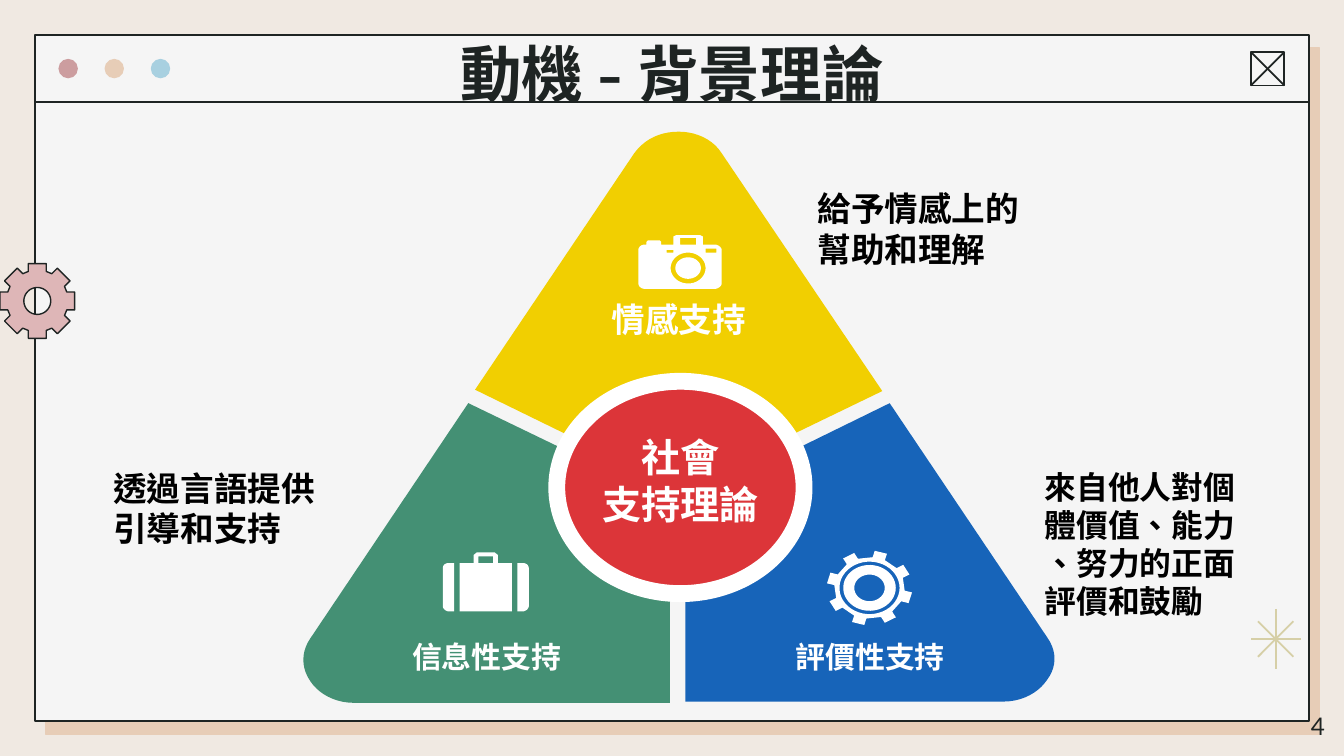
import math

from lxml import etree
from pptx import Presentation
from pptx import util as u
from pptx.dml.color import RGBColor
from pptx.enum import lang, shapes, text
from pptx.oxml.ns import qn

INK = RGBColor(0x1E, 0x24, 0x23)
BLACK = RGBColor(0x00, 0x00, 0x00)
WHITE = RGBColor(0xFF, 0xFF, 0xFF)
CREAM = RGBColor(0xF0, 0xE9, 0xE2)
PANEL = RGBColor(0xF5, 0xF5, 0xF5)
ROSE = RGBColor(0xCC, 0x9D, 0x9F)
PINK = RGBColor(0xDE, 0xB6, 0xB7)
PEACH = RGBColor(0xE7, 0xCD, 0xB7)
SKY = RGBColor(0xA8, 0xD0, 0xE0)
SAND = RGBColor(0xD6, 0xCF, 0xA7)
YELLOW = RGBColor(0xF1, 0xCF, 0x01)
GREEN = RGBColor(0x44, 0x90, 0x74)
BLUE = RGBColor(0x17, 0x64, 0xB9)
RED = RGBColor(0xDC, 0x35, 0x39)

prs = Presentation()
prs.slide_width = u.Inches(10)
prs.slide_height = prs.slide_width * 9 // 16
CELL = prs.slide_width // 100  # square grid, 100 columns wide; every length is in cells
s = prs.slides.add_slide(prs.slide_layouts[6])
s.background.fill.solid()
s.background.fill.fore_color.rgb = CREAM


def add_text(box, *lines, size=18, font="Arial", color=WHITE, bold=True,
             align=text.PP_ALIGN.CENTER):
    tf = s.shapes.add_textbox(*(round(v * CELL) for v in box)).text_frame
    tf.word_wrap = True
    tf.margin_left = tf.margin_right = tf.margin_top = tf.margin_bottom = CELL
    for i, line in enumerate(lines):
        p = tf.add_paragraph() if i else tf.paragraphs[0]
        p.alignment = align
        r = p.add_run()
        r.text = line
        r.font.size, r.font.name, r.font.bold = u.Pt(size), font, bold
        r.font.color.rgb = color
        r.font.language_id = lang.MSO_LANGUAGE_ID.TRADITIONAL_CHINESE


def add_outline(contours, fill, line=None):
    """Draw closed contours as one shape: pairs are corners, sextets are Bézier
    curves, and a lone (cx, cy, rx, ry) is an ellipse."""
    builder = None
    for contour in contours:
        points = []
        for step in contour:
            if len(step) == 2:
                points.append(step)
            elif len(step) == 4:
                cx, cy, rx, ry = step
                turns = [math.radians(a) for a in range(0, 360, 8)]
                points += [(cx + rx * math.cos(a), cy + ry * math.sin(a)) for a in turns]
            else:
                knots = [points[-1], step[:2], step[2:4], step[4:]]
                for t in (k / 10 for k in range(1, 11)):
                    weights = [math.comb(3, k) * t**k * (1 - t)**(3 - k) for k in range(4)]
                    points.append(tuple(sum(w * kn[axis] for w, kn in zip(weights, knots))
                                        for axis in (0, 1)))
        points = [(round(x * CELL), round(y * CELL)) for x, y in points]
        if builder is None:
            builder = s.shapes.build_freeform(*points[0], scale=1.0)
        else:
            builder.move_to(*points[0])
        builder.add_line_segments(points[1:], close=True)
    sp = builder.convert_to_shape()
    sp.shadow.inherit = False
    sp.fill.solid()
    sp.fill.fore_color.rgb = fill
    if line:
        sp.line.color.rgb, sp.line.width = line, u.Pt(0.75)
    else:
        sp.line.fill.background()


# Window frame, dots and close box
RECT, OVAL = shapes.MSO_SHAPE.RECTANGLE, shapes.MSO_SHAPE.OVAL
for kind, box, fill, line, width in [
    (RECT, (2.6, 2.6, 94.8, 51.05), PANEL, INK, 1),
    (OVAL, (4.35, 4.38, 1.45, 1.45), ROSE, None, 0),
    (OVAL, (7.78, 4.38, 1.45, 1.45), PEACH, None, 0),
    (OVAL, (11.22, 4.38, 1.45, 1.45), SKY, None, 0),
    (RECT, (93.07, 3.87, 2.5, 2.5), None, INK, 1),
]:
    sp = s.shapes.add_shape(kind, *(round(v * CELL) for v in box))
    sp.shadow.inherit = False
    if fill:
        sp.fill.solid()
        sp.fill.fore_color.rgb = fill
    else:
        sp.fill.background()
    if line:
        sp.line.color.rgb, sp.line.width = line, u.Pt(width)
    else:
        sp.line.fill.background()
    if fill == PANEL:
        effects = sp._element.spPr.find(qn("a:effectLst"))
        shadow = etree.SubElement(effects, qn("a:outerShdw"), blurRad="0",
                                  dist=str(u.Pt(9)), dir=str(51 * 60000),
                                  algn="bl", rotWithShape="0")
        etree.SubElement(shadow, qn("a:srgbClr"), val=str(PEACH))

# Title rule, close cross and star
for x1, y1, x2, y2, color in [
    (2.6, 7.6, 97.4, 7.6, INK),
    (93.07, 3.87, 95.57, 6.37, INK), (95.57, 3.87, 93.07, 6.37, INK),
    (94.93, 45.3, 94.93, 49.8, SAND), (93.1, 47.55, 96.8, 47.55, SAND),
    (93.6, 48.87, 96.23, 46.23, SAND), (93.6, 46.23, 96.23, 48.87, SAND),
]:
    c = s.shapes.add_connector(shapes.MSO_CONNECTOR.STRAIGHT,
                               *(round(v * CELL) for v in (x1, y1, x2, y2)))
    c.line.color.rgb, c.line.width = color, u.Pt(1)
    etree.SubElement(c._element.spPr, qn("a:effectLst"))

# Three sections of the triangle
add_outline([[(50.5, 9.8), (51.7, 9.8, 53, 10.3, 53.7, 11.4), (65.65, 29.1), (54.9, 34.3),
              (50.5, 36.3), (46.4, 34.4), (35.35, 29), (47.2, 11.4),
              (48, 10.3, 49.2, 9.8, 50.5, 9.8)]], YELLOW)
add_outline([[(34.85, 30), (48.1, 36.4), (49.85, 37.4), (49.85, 52.3), (26.3, 52.3),
              (24.9, 52.3, 23.7, 51.6, 23.1, 50.7),
              (22.4, 49.7, 22.4, 48.5, 23.1, 47.5)]], GREEN)
add_outline([[(66.2, 30), (77.9, 47.4), (78.7, 48.5, 78.6, 49.7, 77.9, 50.6),
              (77.3, 51.5, 76.1, 52.2, 74.7, 52.2), (51, 52.2), (51, 40), (51.1, 37.4)]], BLUE)

hub = s.shapes.add_shape(OVAL, *(round(v * CELL) for v in (41.43, 28.37, 18.4, 15.8)))
hub.shadow.inherit = False
hub.fill.solid()
hub.fill.fore_color.rgb = RED
hub.line.color.rgb, hub.line.width = WHITE, u.Pt(9)

# Camera
add_outline([
    [(50.3, 17.5), (52.1, 17.5), (52.3, 17.6), (52.3, 18.2), (53.2, 18.2),
     (53.4, 18.2, 53.7, 18.4, 53.7, 18.6), (53.7, 21.1),
     (53.7, 21.3, 53.4, 21.5, 53.2, 21.5), (48, 21.5),
     (47.7, 21.5, 47.5, 21.3, 47.5, 21.1), (47.5, 18.6),
     (47.5, 18.4, 47.7, 18.2, 48, 18.2), (48.1, 18.2), (48.1, 18), (48.2, 17.9),
     (49.1, 17.9), (49.2, 18), (49.2, 18.2), (50.1, 18.2), (50.1, 17.6)],
    [(50.6, 17.7), (50.6, 18.2), (51.8, 18.2), (51.8, 17.7)],
    [(49.6, 18.6), (49.6, 18.8), (50.1, 18.8), (50.1, 18.6)],
    [(52.5, 18.5), (52.5, 18.8), (53.3, 18.8), (53.3, 18.5)],
    [(51.2, 19.95, 1.3, 1.15)], [(51.2, 19.95, 0.95, 0.8)],
], WHITE)

# Suitcase: two rounded ends around a body with a handle
add_outline([
    [(38.5, 41.9), (38.9, 41.9), (39.1, 41.9, 39.35, 42, 39.35, 42.3), (39.35, 45.1),
     (39.35, 45.3, 39.1, 45.5, 38.9, 45.5), (38.5, 45.5)],
    [(33.8, 41.9), (33.4, 41.9), (33.2, 41.9, 32.95, 42, 32.95, 42.3), (32.95, 45.1),
     (32.95, 45.3, 33.2, 45.5, 33.4, 45.5), (33.8, 45.5)],
    [(35.5, 41.1), (36.8, 41.1), (37.05, 41.3), (37.05, 41.9), (38.1, 41.9), (38.1, 45.5),
     (34.2, 45.5), (34.2, 41.9), (35.25, 41.9), (35.25, 41.3)],
    [(35.6, 41.4), (35.6, 41.9), (36.7, 41.9), (36.7, 41.4)],
], WHITE)

# Gears: one tooth turned eight times, with elliptical rings cut inside
for cx, cy, rx, ry, root, half, turn, rings, fill, line in [
    (2.78, 22.4, 2.78, 2.78, 0.79, 0.24, 0, [0.36], PINK, INK),
    (64.7, 43.75, 3.15, 2.75, 0.82, 0.15, 15.5, [0.71, 0.62, 0.36], WHITE, None),
]:
    teeth = []
    for k in range(8):
        a = math.radians(45 * k + turn)
        for r, h in [(root, -half), (1, -half), (1, half), (root, half)]:
            teeth.append((cx + rx * (r * math.cos(a) - h * math.sin(a)),
                          cy + ry * (r * math.sin(a) + h * math.cos(a))))
    add_outline([teeth] + [[(cx, cy, rx * q, ry * q)] for q in rings], fill, line)

# Labels
LEFT = text.PP_ALIGN.LEFT
add_text((31.9, 21.24, 37.2, 5), "情感支持")
add_text((17.6, 46.5, 37.2, 4.7), "信息性支持", size=16)
add_text((46.15, 46.5, 37.2, 4.7), "評價性支持", size=16)
add_text((59.85, 13, 17.6, 8.1), "給予情感上的", "幫助和理解", color=BLACK, align=LEFT)
add_text((76.74, 33.8, 27.4, 13.5), "來自他人對個", "體價值、能力", "、努力的正面", "評價和鼓勵",
         size=17, color=BLACK, align=LEFT)
add_text((7.45, 33.8, 18, 8.1), "透過言語提供", "引導和支持", color=BLACK, align=LEFT)
add_text((41.84, 31.24, 17.6, 9.1), "社會", "支持理論", size=21)
add_text((93.57, 51.95, 6, 4.3), "4", size=13, font="Lato", color=INK, bold=False,
         align=text.PP_ALIGN.RIGHT)
add_text((28.9, 1.64, 42.2, 6.4), "動機 - 背景理論", size=33, font="Cabin", color=INK)

prs.save("out.pptx")
